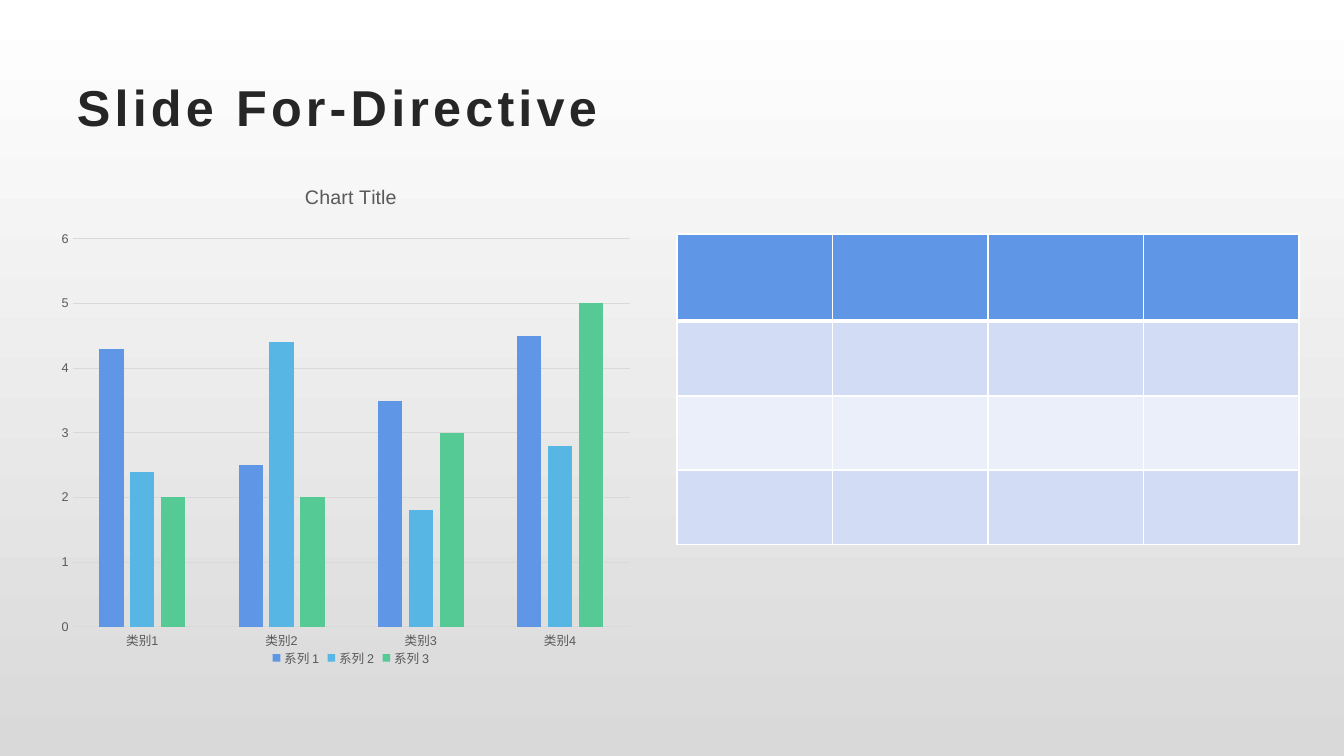
"""Build a slide with a title, a clustered column chart and a banded table."""
from dataclasses import dataclass
from typing import Any

from lxml import etree
from pptx import Presentation
from pptx.chart.data import CategoryChartData
from pptx.dml.color import RGBColor
from pptx.enum.chart import XL_CHART_TYPE, XL_LEGEND_POSITION, XL_TICK_MARK
from pptx.enum.text import MSO_ANCHOR
from pptx.oxml import parse_xml
from pptx.oxml.ns import nsdecls, qn
from pptx.util import Emu, Pt

COLUMN = XL_CHART_TYPE.COLUMN_CLUSTERED
BOTTOM = XL_LEGEND_POSITION.BOTTOM
NO_TICK = XL_TICK_MARK.NONE
MIDDLE = MSO_ANCHOR.MIDDLE

WHITE = RGBColor(0xFF, 0xFF, 0xFF)
SILVER = RGBColor(0xD9, 0xD9, 0xD9)
GRAY = RGBColor(0x59, 0x59, 0x59)
INK = RGBColor(0x26, 0x26, 0x26)
BLUE = RGBColor(0x60, 0x96, 0xE6)
SKY = RGBColor(0x58, 0xB6, 0xE5)
GREEN = RGBColor(0x56, 0xCA, 0x95)
PALE = RGBColor(0xD2, 0xDD, 0xF5)
FAINT = RGBColor(0xEA, 0xEF, 0xFA)
SCALE = 914400 / 100.8


@dataclass(frozen=True)
class Box:
    left: int
    top: int
    width: int
    height: int

    def emu(self) -> tuple[Emu, ...]:
        return tuple(map(px, (self.left, self.top, self.width, self.height)))


@dataclass(frozen=True)
class Series:
    name: str
    values: tuple[float, ...]
    color: RGBColor


@dataclass(frozen=True)
class Band:
    color: RGBColor
    height: int
    top: int
    bottom: int


TITLE = Box(67, 67, 1210, 78)
CHART = Box(55, 165, 592, 506)
TABLE = Box(677, 234, 622, 311)
PLOT = {"x": 0.03, "y": 0.146, "w": 0.941, "h": 0.767}
GROUPS = [f"类别{n}" for n in range(1, 5)]
SERIES = (
    Series("系列 1", (4.3, 2.5, 3.5, 4.5), BLUE),
    Series("系列 2", (2.4, 4.4, 1.8, 2.8), SKY),
    Series("系列 3", (2, 2, 3, 5), GREEN),
)
BANDS = (
    Band(BLUE, 87, 1, 3),
    Band(PALE, 75, 3, 1),
    Band(FAINT, 74, 1, 1),
    Band(PALE, 75, 1, 1),
)
COLS = 4


def px(value: float) -> Emu:
    return Emu(round(value * SCALE))


def style(font: Any, size: int, color: RGBColor, bold: bool = False) -> None:
    for key, value in {"name": "Arial", "size": Pt(size), "bold": bold}.items():
        setattr(font, key, value)
    font.color.rgb = color


def rule(line: Any) -> None:
    line.color.rgb = SILVER
    line.width = Pt(0.75)


def add_title(slide: Any) -> None:
    frame = slide.shapes.add_textbox(*TITLE.emu()).text_frame
    frame.word_wrap = True
    frame.vertical_anchor = MIDDLE
    run = frame.paragraphs[0].add_run()
    run.text = "Slide For-Directive"
    style(run.font, 36, INK, True)
    run.font._element.set("spc", "300")


def place(chart: Any) -> None:
    area = chart._chartSpace.find(".//" + qn("c:plotArea"))
    for old in area.findall(qn("c:layout")):
        area.remove(old)
    layout = parse_xml(f"<c:layout {nsdecls('c')}><c:manualLayout/></c:layout>")
    parts = {"layoutTarget": "inner", "xMode": "edge", "yMode": "edge", **PLOT}
    for key, value in parts.items():
        etree.SubElement(layout[0], qn(f"c:{key}")).set("val", str(value))
    area.insert(0, layout)


def add_chart(slide: Any) -> None:
    data = CategoryChartData()
    data.categories = GROUPS
    for item in SERIES:
        data.add_series(item.name, item.values)
    chart = slide.shapes.add_chart(COLUMN, *CHART.emu(), data).chart
    style(chart.font, 10, GRAY)
    frame = chart.chart_title.text_frame
    frame.text = "Chart Title"
    style(frame.paragraphs[0].runs[0].font, 14, GRAY)
    chart.chart_title.include_in_layout = False
    chart.has_legend = True
    for key, value in {"position": BOTTOM, "include_in_layout": False}.items():
        setattr(chart.legend, key, value)
    style(chart.legend.font, 9, GRAY)
    plot = chart.plots[0]
    for key, value in {"gap_width": 219, "overlap": -27, "vary_by_categories": False}.items():
        setattr(plot, key, value)
    for bars, item in zip(plot.series, SERIES):
        bars.format.fill.solid()
        bars.format.fill.fore_color.rgb = item.color
    for axis in (chart.category_axis, chart.value_axis):
        for key, value in {"major_tick_mark": NO_TICK, "minor_tick_mark": NO_TICK}.items():
            setattr(axis, key, value)
        style(axis.tick_labels.font, 9, GRAY)
    rule(chart.category_axis.format.line)
    axis = chart.value_axis
    for key, value in {"minimum_scale": 0, "maximum_scale": 6, "major_unit": 1}.items():
        setattr(axis, key, value)
    axis.format.line.fill.background()
    rule(axis.major_gridlines.format.line)
    place(chart)


def paint(cell: Any, band: Band) -> None:
    props = cell._tc.get_or_add_tcPr()
    for side, width in {"L": 1, "R": 1, "T": band.top, "B": band.bottom}.items():
        edge = etree.SubElement(props, qn(f"a:ln{side}"), w=str(Pt(width)))
        fill = etree.SubElement(edge, qn("a:solidFill"))
        etree.SubElement(fill, qn("a:srgbClr"), val=str(WHITE))
    cell.fill.solid()
    cell.fill.fore_color.rgb = band.color


def add_table(slide: Any) -> None:
    table = slide.shapes.add_table(len(BANDS), COLS, *TABLE.emu()).table
    for col in table.columns:
        col.width = px(TABLE.width / COLS)
    for row, band in zip(table.rows, BANDS):
        row.height = px(band.height)
        for cell in row.cells:
            paint(cell, band)


def main() -> None:
    deck = Presentation()
    for key, value in {"slide_width": px(1344), "slide_height": px(756)}.items():
        setattr(deck, key, value)
    slide = deck.slides.add_slide(deck.slide_layouts[6])
    fill = slide.background.fill
    fill.gradient()
    fill.gradient_angle = 270
    for stop, color in zip(fill.gradient_stops, (WHITE, SILVER)):
        stop.color.rgb = color
    add_title(slide)
    add_chart(slide)
    add_table(slide)
    deck.save("out.pptx")


main()
